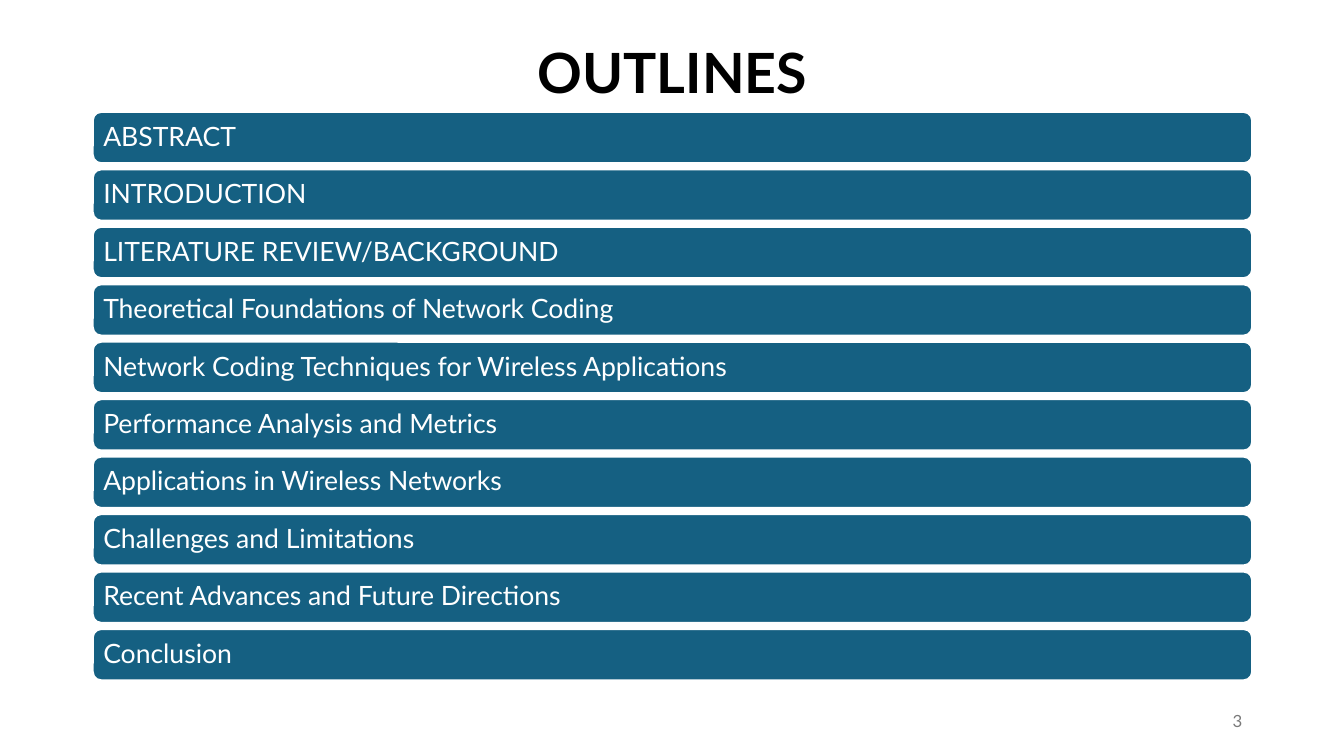
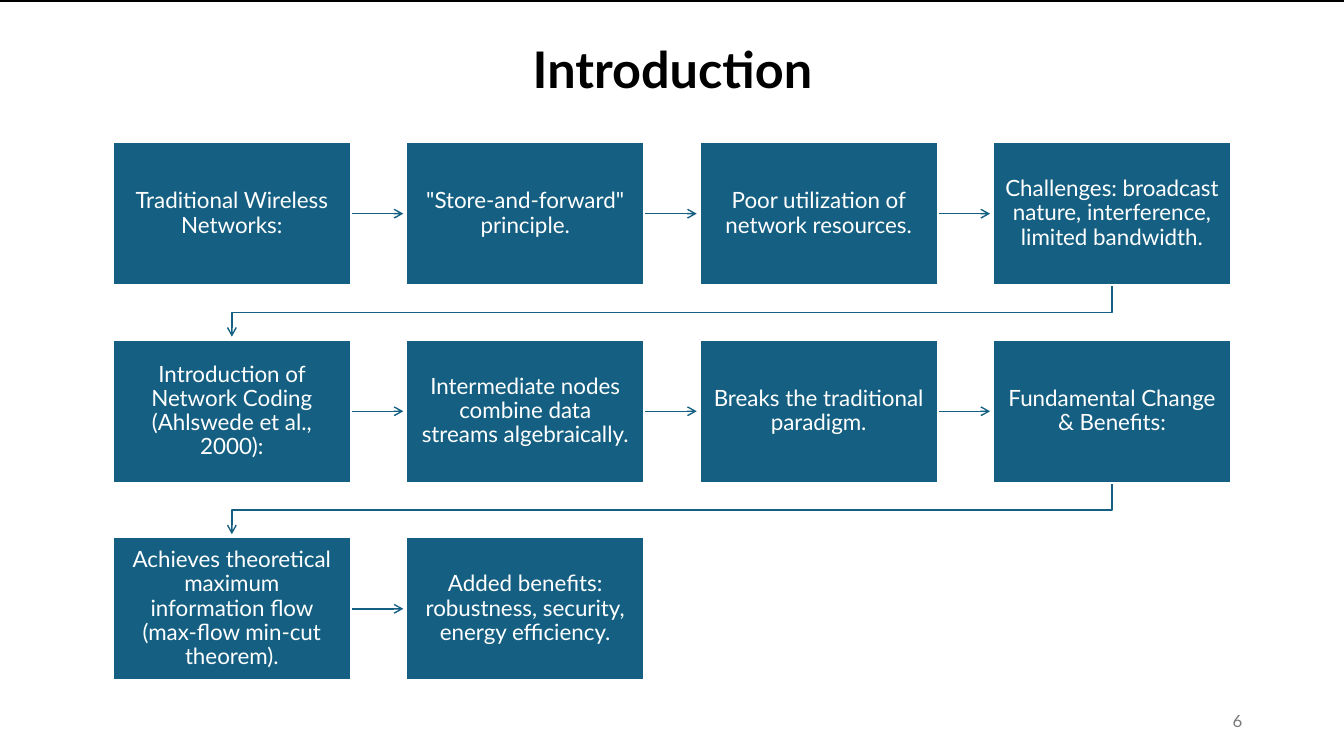
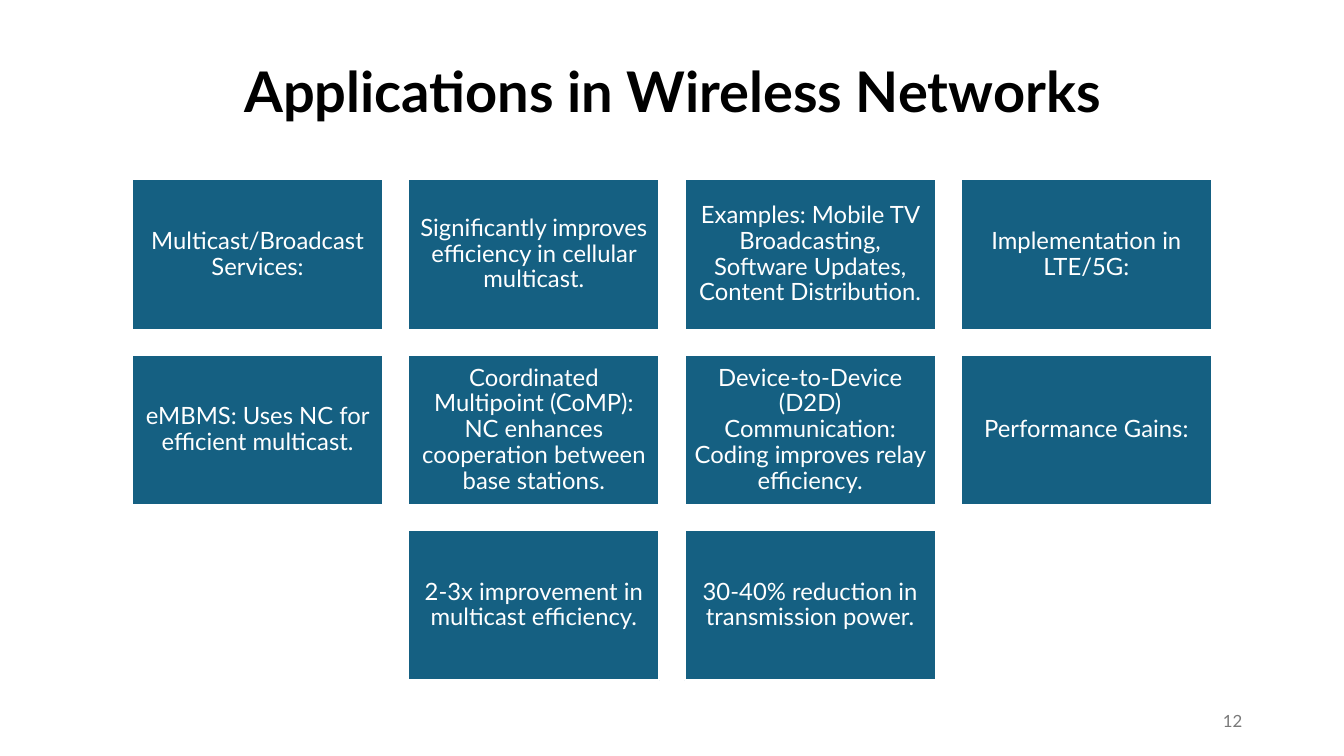
"""Build three slides on network coding: outline, introduction flow and applications."""
from dataclasses import dataclass

from lxml import etree
from pptx import Presentation
from pptx.dml.color import RGBColor
from pptx.enum.shapes import MSO_CONNECTOR, MSO_SHAPE
from pptx.enum.text import MSO_ANCHOR, MSO_AUTO_SIZE, PP_ALIGN
from pptx.oxml.ns import qn
from pptx.util import Pt

RECTANGLE, ROUNDED = MSO_SHAPE.RECTANGLE, MSO_SHAPE.ROUNDED_RECTANGLE
STRAIGHT = MSO_CONNECTOR.STRAIGHT
LEFT, CENTER, RIGHT = PP_ALIGN.LEFT, PP_ALIGN.CENTER, PP_ALIGN.RIGHT
MIDDLE, NO_AUTOFIT = MSO_ANCHOR.MIDDLE, MSO_AUTO_SIZE.NONE
TITLE_ONLY = 5
PX = 9144
PAGE_WIDTH, PAGE_HEIGHT = 1333, 750
MARGIN, CONTENT_WIDTH, TITLE_TOP = 92, 1150, 40
ARROW_GAP = 3


@dataclass(frozen=True)
class Theme:
    """Colours, font and type sizes of the deck."""
    font: str = "Lato"
    blue: RGBColor = RGBColor(0x15, 0x60, 0x82)
    white: RGBColor = RGBColor(0xFF, 0xFF, 0xFF)
    black: RGBColor = RGBColor(0, 0, 0)
    gray: RGBColor = RGBColor(0x79, 0x79, 0x79)
    bar_size: float = 19
    flow_size: float = 16
    tile_size: float = 17
    number_size: float = 12
    border: float = 1.5
    arrow: float = 1
    rule: float = 0.75


@dataclass(frozen=True)
class Grid:
    """Cells of equal size, placed at equal steps."""
    left: int
    top: int
    width: int
    height: int
    step_x: int
    step_y: int
    columns: int = 4

    def cell(self, index, shift=0):
        row, column = divmod(index, self.columns)
        return (self.left + column * self.step_x + shift,
                self.top + row * self.step_y, self.width, self.height)


THEME = Theme()

OUTLINE = {
    "title": "OUTLINES", "title_size": 39.6, "title_height": 70, "number": 3,
    "items": [
        "ABSTRACT",
        "INTRODUCTION",
        "LITERATURE REVIEW/BACKGROUND",
        "Theoretical Foundations of Network Coding",
        "Network Coding Techniques for Wireless Applications",
        "Performance Analysis and Metrics",
        "Applications in Wireless Networks",
        "Challenges and Limitations",
        "Recent Advances and Future Directions",
        "Conclusion",
    ],
    "grid": Grid(MARGIN, 111, CONTENT_WIDTH, 51, 0, 57, columns=1),
}
INTRODUCTION = {
    "title": "Introduction", "title_size": 36, "title_height": 63, "number": 6,
    "items": [
        "Traditional Wireless Networks:",
        "\"Store-and-forward\" principle.",
        "Poor utilization of network resources.",
        "Challenges: broadcast nature, interference, limited bandwidth.",
        "Introduction of Network Coding (Ahlswede et al., 2000):",
        "Intermediate nodes combine data streams algebraically.",
        "Breaks the traditional paradigm.",
        "Fundamental Change & Benefits:",
        "Achieves theoretical maximum information flow (max-flow min-cut theorem).",
        "Added benefits: robustness, security, energy efficiency.",
    ],
    "grid": Grid(112, 141, 236, 142, 291, 196),
}
APPLICATIONS = {
    "title": "Applications in Wireless Networks", "title_size": 40,
    "title_height": 108, "number": 12,
    "items": [
        "Multicast/Broadcast Services:",
        "Significantly improves efficiency in cellular multicast.",
        "Examples: Mobile TV Broadcasting, Software Updates, Content Distribution.",
        "Implementation in LTE/5G:",
        "eMBMS: Uses NC for efficient multicast.",
        "Coordinated Multipoint (CoMP): NC enhances cooperation between base stations.",
        "Device-to-Device (D2D) Communication: Coding improves relay efficiency.",
        "Performance Gains:",
        "2-3x improvement in multicast efficiency.",
        "30-40% reduction in transmission power.",
    ],
    "grid": Grid(131, 178, 249, 149, 274, 174),
}


def emu(lengths):
    return [length * PX for length in lengths]


def write(shape, text, size, color, align, bold=False, inset=None, spacing=0.9):
    frame = shape.text_frame
    frame.text = text
    frame.word_wrap = True
    frame.auto_size = NO_AUTOFIT
    frame.vertical_anchor = MIDDLE
    if inset is not None:
        frame.margin_left = frame.margin_right = inset * PX
        frame.margin_top = frame.margin_bottom = inset * PX
    para = frame.paragraphs[0]
    para.alignment = align
    para.line_spacing = spacing
    font = para.font
    font.name, font.size, font.bold = THEME.font, Pt(size), bold
    font.color.rgb = color


def add_page(deck, content):
    page = deck.slides.add_slide(deck.slide_layouts[TITLE_ONLY])
    title = page.shapes.title
    title.left, title.top, title.width, title.height = emu(
        (MARGIN, TITLE_TOP, CONTENT_WIDTH, content["title_height"]))
    write(title, content["title"], content["title_size"], THEME.black, CENTER, bold=True)
    number = page.shapes.add_textbox(*emu((942, 695, 300, 40)))
    write(number, str(content["number"]), THEME.number_size, THEME.gray, RIGHT, spacing=1.0)
    return page


def add_box(page, kind, place, fill, line, width):
    box = page.shapes.add_shape(kind, *emu(place))
    box.shadow.inherit = False
    box.fill.solid()
    box.fill.fore_color.rgb = fill
    box.line.color.rgb = line
    box.line.width = Pt(width)
    return box


def add_card(page, kind, place, text, size, align, inset):
    card = add_box(page, kind, place, THEME.blue, THEME.white, THEME.border)
    write(card, text, size, THEME.white, align, inset=inset)


def style_arrow(arrow):
    arrow.line.color.rgb = THEME.blue
    arrow.line.width = Pt(THEME.arrow)
    etree.SubElement(arrow.line._get_or_add_ln(), qn("a:tailEnd"), type="arrow")


def add_straight_arrow(page, source, target):
    left, top, width, height = source
    middle = top + height // 2
    arrow = page.shapes.add_connector(
        STRAIGHT, *emu((left + width + 1, middle, target[0] - ARROW_GAP, middle)))
    style_arrow(arrow)
    etree.SubElement(arrow._element.spPr, qn("a:effectLst"))


def add_return_arrow(page, source, target):
    left, top, width, height = source
    start_x, start_y = left + width // 2, top + height
    end_x = target[0] + target[2] // 2
    turn_y = (start_y + target[1]) // 2
    builder = page.shapes.build_freeform(start_x, start_y, scale=PX)
    builder.add_line_segments(
        [(start_x, turn_y), (end_x, turn_y), (end_x, target[1] - ARROW_GAP)], close=False)
    arrow = builder.convert_to_shape()
    arrow.shadow.inherit = False
    arrow.fill.background()
    style_arrow(arrow)


def build_outline(deck):
    page = add_page(deck, OUTLINE)
    for index, text in enumerate(OUTLINE["items"]):
        add_card(page, ROUNDED, OUTLINE["grid"].cell(index), text, THEME.bar_size, LEFT, 8)


def build_introduction(deck):
    page = add_page(deck, INTRODUCTION)
    add_box(page, RECTANGLE, (0, 0, PAGE_WIDTH, 2), THEME.black, THEME.black, THEME.rule)
    cells = [INTRODUCTION["grid"].cell(index) for index in range(len(INTRODUCTION["items"]))]
    for source, target in zip(cells, cells[1:]):
        same_row = source[1] == target[1]
        add_arrow = add_straight_arrow if same_row else add_return_arrow
        add_arrow(page, source, target)
    for place, text in zip(cells, INTRODUCTION["items"]):
        add_card(page, RECTANGLE, place, text, THEME.flow_size, CENTER, 12)


def build_applications(deck):
    page = add_page(deck, APPLICATIONS)
    grid, items = APPLICATIONS["grid"], APPLICATIONS["items"]
    last_count = len(items) % grid.columns
    last_shift = (grid.columns - last_count) * grid.step_x // 2
    for index, text in enumerate(items):
        shift = last_shift if index >= len(items) - last_count else 0
        add_card(page, RECTANGLE, grid.cell(index, shift), text, THEME.tile_size, CENTER, 7)


def main():
    deck = Presentation()
    deck.slide_width, deck.slide_height = emu((PAGE_WIDTH, PAGE_HEIGHT))
    build_outline(deck)
    build_introduction(deck)
    build_applications(deck)
    deck.save("out.pptx")


if __name__ == "__main__":
    main()
